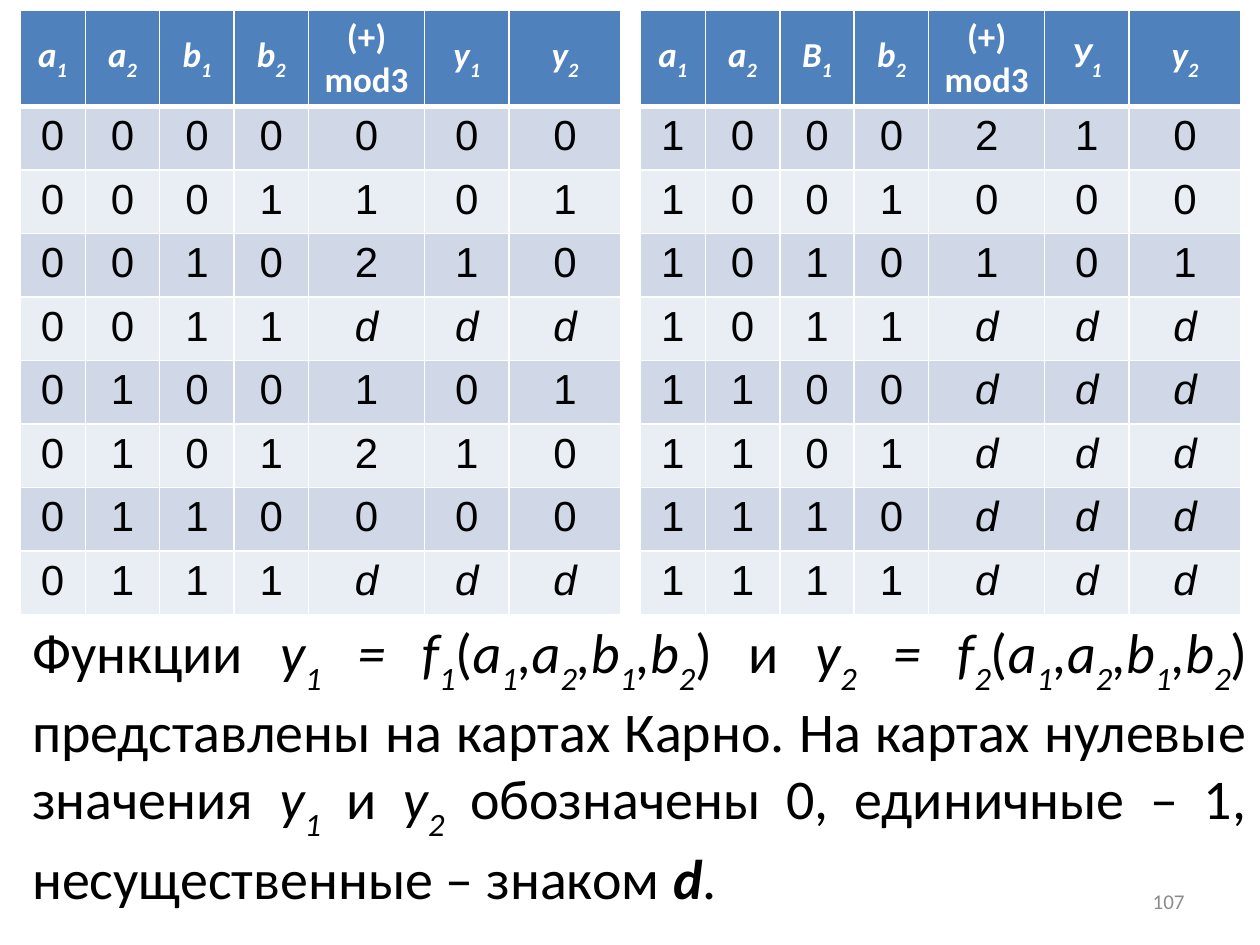
import pptx
import pptx.dml.color
import pptx.enum.text
import pptx.oxml
import pptx.oxml.ns
import pptx.util

Cm = pptx.util.Cm
ALIGN = pptx.enum.text.PP_ALIGN
ANCHOR = pptx.enum.text.MSO_ANCHOR

COLUMNS = [1.32, 1.5, 1.5, 1.5, 2.34, 1.7, 2.26]
HEADER_HEIGHT, ROW_HEIGHT = 1.88, 1.28
LEFT_HEADER = ["*а_1*", "*а_2*", "*b_1*", "*b_2*", "(+)\nmod3", "*у_1*", "*у_2*"]
RIGHT_HEADER = ["*а_1*", "*а_2*", "*B_1*", "*b_2*", "(+)\nmod3", "*У_1*", "*у_2*"]
ARGUMENTS = "(*a_1,a_2,b_1,b_2*)"
CONCLUSION = (
    f"Функции *y_1 = f_1*{ARGUMENTS} и *y_2 = f_2*{ARGUMENTS} "
    "представлены на картах Карно. На картах нулевые значения *y_1* и *y_2* "
    "обозначены 0, единичные – 1, несущественные – знаком ~*d*~."
)


def color(value):
    return pptx.dml.color.RGBColor.from_string(value)


def split_markup(text):
    """Yield (text, bold, italic, subscript): ~bold~, *italic*, _subscript digit."""
    for bold_index, bold_part in enumerate(text.split("~")):
        for italic_index, part in enumerate(bold_part.split("*")):
            style = bold_index % 2 == 1, italic_index % 2 == 1
            first, *others = part.split("_")
            pieces = [(first, False)]
            for other in others:
                pieces += [(other[0], True), (other[1:], False)]
            for piece, subscript in pieces:
                if piece:
                    yield (piece, *style, subscript)


def addition_mod3(first_bit):
    """Truth table rows of a + b mod 3; the code 11 is not used."""
    rows = []
    for code in range(8):
        bits = f"{first_bit}{code:03b}"
        a, b = int(bits[:2], 2), int(bits[2:], 2)
        if 3 in (a, b):
            result = ["*d*"] * 3
        else:
            total = (a + b) % 3
            result = [str(total), *f"{total:02b}"]
        rows.append([*bits, *result])
    return rows


class Page:
    header = {"name": "Calibri", "size": 20, "color": "FFFFFF", "bold": True}
    digit = {"name": "Arial", "size": 24, "color": "000000"}
    body = {"name": "Calibri", "size": 32, "color": "000000"}
    number = {"name": "Calibri", "size": 12, "color": "8C8C8C"}
    header_fill, band_fills = "4F81BD", ("D0D8E8", "E9EDF4")

    def __init__(self, deck):
        self.slide = deck.slides.add_slide(deck.slide_layouts[6])

    def fill_text(self, frame, text, style, align):
        for index, line in enumerate(text.split("\n")):
            para = frame.add_paragraph() if index else frame.paragraphs[0]
            para.alignment = align
            for piece, bold, italic, subscript in split_markup(line):
                span = para.add_run()
                span.text = piece
                span.font.color.rgb = color(style["color"])
                values = {
                    "name": style["name"],
                    "size": pptx.util.Pt(style["size"]),
                    "bold": bold or style.get("bold", False),
                    "italic": italic,
                }
                for key, value in values.items():
                    setattr(span.font, key, value)
                if subscript:
                    span._r.get_or_add_rPr().set("baseline", "-30000")

    def text(self, left, top, width, height, text, style, align, anchor=ANCHOR.TOP):
        box = self.slide.shapes.add_textbox(Cm(left), Cm(top), Cm(width), Cm(height))
        frame = box.text_frame
        frame.word_wrap = True
        frame.vertical_anchor = anchor
        self.fill_text(frame, text, style, align)

    def borders(self, cell, top, bottom):
        properties = cell._tc.get_or_add_tcPr()
        namespace = pptx.oxml.ns.nsdecls("a")
        for side, points in {"L": 1, "R": 1, "T": top, "B": bottom}.items():
            properties.append(pptx.oxml.parse_xml(
                f'<a:ln{side} {namespace} w="{points * 12700}"><a:solidFill>'
                f'<a:srgbClr val="FFFFFF"/></a:solidFill></a:ln{side}>'))

    def table(self, left, top, header, rows):
        height = HEADER_HEIGHT + ROW_HEIGHT * len(rows)
        table = self.slide.shapes.add_table(
            len(rows) + 1, len(COLUMNS), Cm(left), Cm(top),
            Cm(sum(COLUMNS)), Cm(height)).table
        for column, width in zip(table.columns, COLUMNS):
            column.width = Cm(width)
        for index, values in enumerate([header, *rows]):
            is_header = index == 0
            table.rows[index].height = Cm(HEADER_HEIGHT if is_header else ROW_HEIGHT)
            fill = self.header_fill if is_header else self.band_fills[(index - 1) % 2]
            for column, value in enumerate(values):
                cell = table.cell(index, column)
                self.borders(cell, 3 if index == 1 else 1, 3 if is_header else 1)
                cell.fill.solid()
                cell.fill.fore_color.rgb = color(fill)
                cell.vertical_anchor = ANCHOR.MIDDLE if is_header else ANCHOR.TOP
                self.fill_text(cell.text_frame, value,
                               self.header if is_header else self.digit, ALIGN.CENTER)


def main():
    deck = pptx.Presentation()
    deck.slide_width, deck.slide_height = Cm(25.4), Cm(19.05)
    page = Page(deck)

    # Slide number
    page.text(18.2, 17.66, 5.93, 1.01, "107", page.number, ALIGN.RIGHT, ANCHOR.MIDDLE)

    # Truth tables for a1 = 0 and a1 = 1
    page.table(0.4, 0.2, LEFT_HEADER, addition_mod3(0))
    page.table(12.9, 0.2, RIGHT_HEADER, addition_mod3(1))

    # Conclusion
    page.text(0.4, 12.32, 25, 5.74, CONCLUSION, page.body, ALIGN.JUSTIFY)

    deck.save("out.pptx")


if __name__ == "__main__":
    main()
